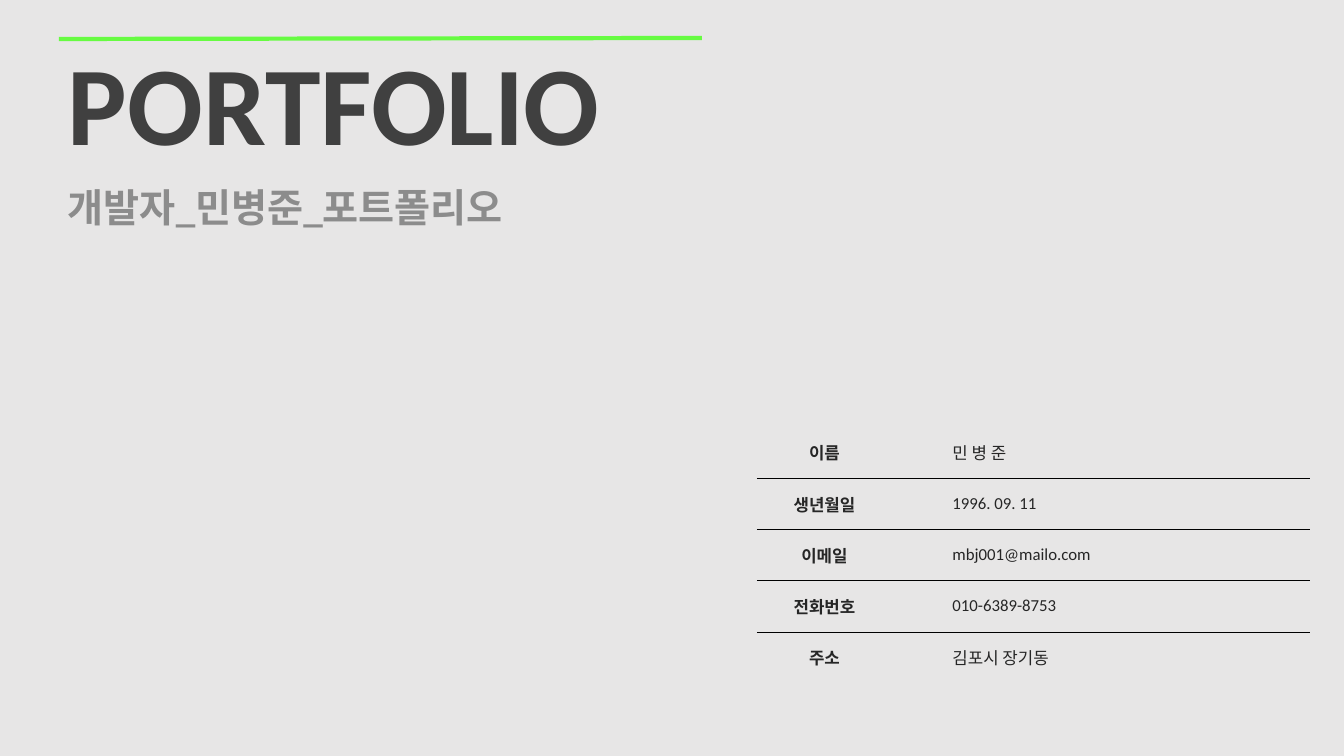
from dataclasses import dataclass

from lxml import etree
from pptx import Presentation
from pptx import util as u
from pptx.dml.color import RGBColor
from pptx.enum import shapes, text
from pptx.oxml.ns import qn

EMU_PER_PX = 914400 / 100.8


@dataclass(frozen=True)
class Theme:
    font: str = "Calibri"
    background: str = "E7E6E6"
    accent: str = "67FB42"
    title: str = "404040"
    subtitle: str = "8C8C8C"
    body: str = "262626"
    rule: str = "000000"
    title_pt: int = 80
    subtitle_pt: int = 28
    body_pt: int = 12


@dataclass(frozen=True)
class Heading:
    wording: str
    box: tuple[int, int, int, int]
    size: int
    color: str
    anchor: text.MSO_ANCHOR
    fit: text.MSO_AUTO_SIZE


@dataclass(frozen=True)
class Detail:
    label: str
    value: str


THEME = Theme()
HEADINGS = [
    Heading("PORTFOLIO", (58, 29, 879, 146), THEME.title_pt, THEME.title,
            text.MSO_ANCHOR.TOP, text.MSO_AUTO_SIZE.SHAPE_TO_FIT_TEXT),
    Heading("개발자_민병준_포트폴리오", (58, 164, 1232, 85), THEME.subtitle_pt, THEME.subtitle,
            text.MSO_ANCHOR.MIDDLE, text.MSO_AUTO_SIZE.NONE),
]
DETAILS = [
    Detail("이름", "민 병 준"),
    Detail("생년월일", "1996. 09. 11"),
    Detail("이메일", "mbj001@mailo.com"),
    Detail("전화번호", "010-6389-8753"),
    Detail("주소", "김포시 장기동"),
]
TABLE_BOX = (757, 427, 553, 256)
COLUMNS = (135, 418)


def px(n: float) -> u.Emu:
    return u.Emu(round(n * EMU_PER_PX))


def style(p, size: int, color: str, bold: bool) -> None:
    p.font.name = THEME.font
    p.font.size = u.Pt(size)
    p.font.bold = bold
    p.font.color.rgb = RGBColor.from_string(color)


def add_heading(s, heading: Heading) -> None:
    tf = s.shapes.add_textbox(*map(px, heading.box)).text_frame
    tf.word_wrap = True
    tf.auto_size = heading.fit
    tf.vertical_anchor = heading.anchor
    p = tf.paragraphs[0]
    p.text = heading.wording
    style(p, heading.size, heading.color, True)


def add_accent(s) -> None:
    line = s.shapes.add_connector(shapes.MSO_CONNECTOR.STRAIGHT, px(59), px(39), px(702), px(38))
    line.line.color.rgb = RGBColor.from_string(THEME.accent)
    line.line.width = u.Pt(3)
    etree.SubElement(line._element.spPr, qn("a:effectLst"))


def set_borders(cell, ruled: set[str]) -> None:
    tcPr = cell._tc.get_or_add_tcPr()
    for i, side in enumerate(("lnL", "lnR", "lnT", "lnB")):
        ln = etree.Element(qn(f"a:{side}"), w=str(u.Pt(0.25)))
        if side in ruled:
            fill = etree.SubElement(ln, qn("a:solidFill"))
            etree.SubElement(fill, qn("a:srgbClr"), val=THEME.rule)
        else:
            etree.SubElement(ln, qn("a:noFill"))
        tcPr.insert(i, ln)


def fill_cell(cell, wording: str, is_label: bool, ruled: set[str]) -> None:
    cell.fill.background()
    cell.vertical_anchor = text.MSO_ANCHOR.MIDDLE
    p = cell.text_frame.paragraphs[0]
    p.text = wording
    if is_label:
        p.alignment = text.PP_ALIGN.CENTER
    else:
        p.level = 1
        pPr = p._p.get_or_add_pPr()
        pPr.set("marL", str(u.Inches(0.5)))
        pPr.set("indent", "0")
    style(p, THEME.body_pt, THEME.body, is_label)
    set_borders(cell, ruled)


def add_details(s, details: list[Detail]) -> None:
    table = s.shapes.add_table(len(details), len(COLUMNS), *map(px, TABLE_BOX)).table
    table.first_row = table.horz_banding = False
    for column, width in zip(table.columns, COLUMNS):
        column.width = px(width)
    last = len(details) - 1
    for i, detail in enumerate(details):
        table.rows[i].height = px(TABLE_BOX[3] / len(details))
        ruled = ({"lnT"} if i > 0 else set()) | ({"lnB"} if i < last else set())
        fill_cell(table.cell(i, 0), detail.label, True, ruled)
        fill_cell(table.cell(i, 1), detail.value, False, ruled)


def main() -> None:
    """Build the portfolio cover slide with its personal details table."""
    prs = Presentation()
    prs.slide_width, prs.slide_height = px(1344), px(756)
    s = prs.slides.add_slide(prs.slide_layouts[6])
    s.background.fill.solid()
    s.background.fill.fore_color.rgb = RGBColor.from_string(THEME.background)
    for heading in HEADINGS:
        add_heading(s, heading)
    add_accent(s)
    add_details(s, DETAILS)
    prs.save("out.pptx")


if __name__ == "__main__":
    main()
